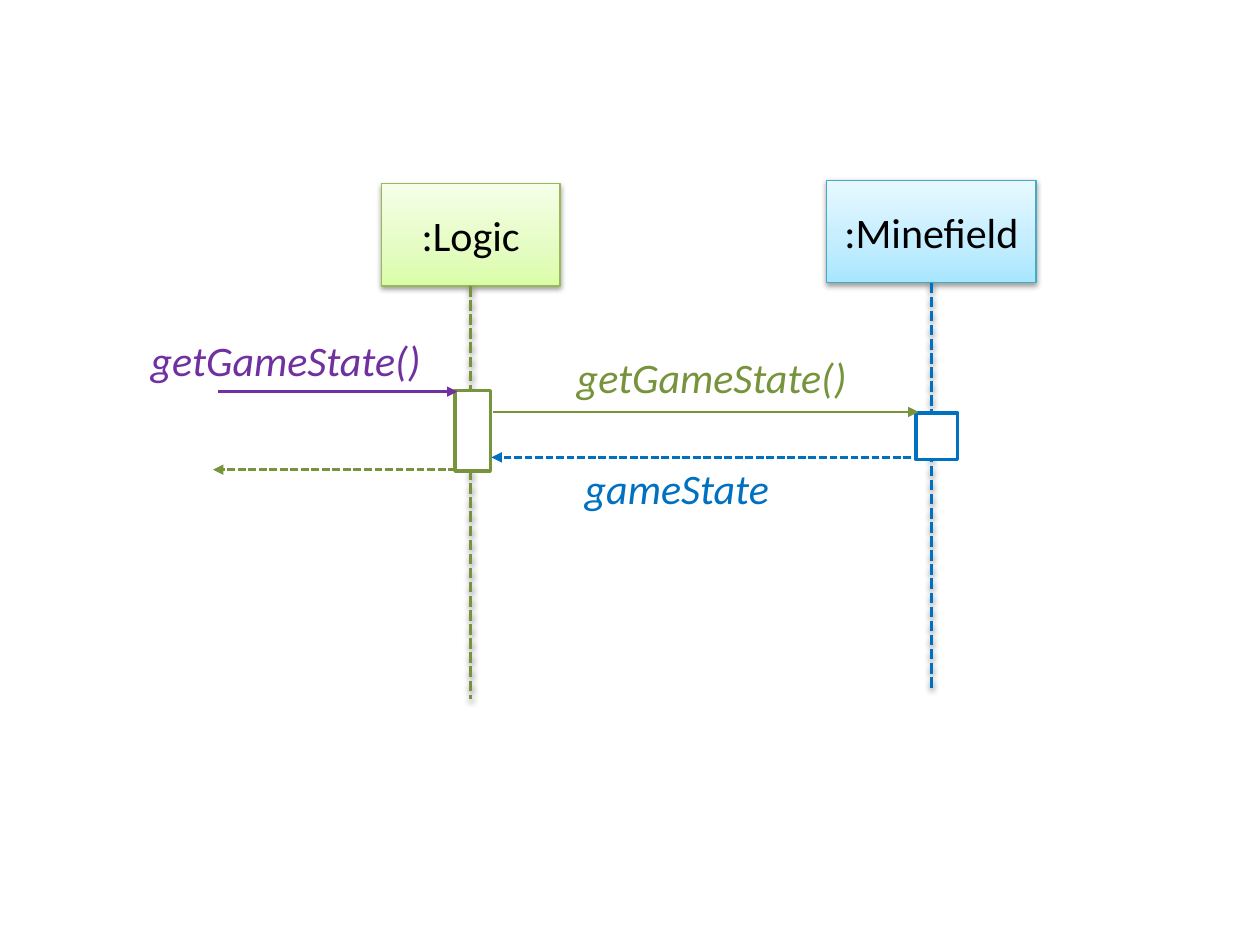
from lxml.etree import SubElement
from pptx import Presentation
from pptx.dml.color import RGBColor
from pptx.enum.dml import MSO_LINE
from pptx.enum.shapes import MSO_CONNECTOR, MSO_SHAPE
from pptx.enum.text import MSO_ANCHOR, PP_ALIGN
from pptx.oxml import parse_xml
from pptx.oxml.ns import nsdecls, qn
from pptx.util import Pt

COLORS = {
    "green": "77933C", "blue": "0070C0", "purple": "7030A0",
    "green border": "98B955", "blue border": "46AAC5",
    "black": "000000", "white": "FFFFFF",
}
GRADIENTS = {
    "green": ("DAFDA7", "E4FCC2", "F5FFE7"),
    "blue": ("A7E6FF", "C1EDFF", "E7F8FF"),
}
GRADIENT_POSITIONS = (0, 35000, 100000)


def rgb(name):
    return RGBColor.from_string(COLORS[name])


def add_shadow(shape):
    shape._element.spPr.append(parse_xml(
        f'<a:effectLst {nsdecls("a")}>'
        '<a:outerShdw blurRad="40000" dist="20000" dir="5400000" rotWithShape="0">'
        '<a:srgbClr val="000000"><a:alpha val="38000"/></a:srgbClr>'
        '</a:outerShdw></a:effectLst>'))


def set_gradient(shape, stops):
    """Fill the shape with three stops running from bottom to top."""
    shape.fill.gradient()
    shape.fill.gradient_angle = 90
    stop_list = shape._element.spPr.find(qn("a:gradFill")).find(qn("a:gsLst"))
    for stop in list(stop_list):
        stop_list.remove(stop)
    for position, color in zip(GRADIENT_POSITIONS, stops):
        stop = SubElement(stop_list, qn("a:gs"), pos=str(position))
        SubElement(stop, qn("a:srgbClr"), val=color)


def write_text(text_frame, text, color, italic=False, alignment=PP_ALIGN.LEFT):
    text_frame.word_wrap = True
    paragraph = text_frame.paragraphs[0]
    paragraph.text = text
    paragraph.alignment = alignment
    font = paragraph.font
    font.name, font.size, font.italic = "Calibri", Pt(24), italic
    font.color.rgb = rgb(color)


def add_rectangle(slide, box, border, width):
    rectangle = slide.shapes.add_shape(MSO_SHAPE.RECTANGLE, *map(Pt, box))
    rectangle.line.color.rgb = rgb(border)
    rectangle.line.width = Pt(width)
    return rectangle


def add_line(slide, start, end, color, width, dashed):
    line = slide.shapes.add_connector(
        MSO_CONNECTOR.STRAIGHT, *map(Pt, (*start, *end)))
    line.line.color.rgb = rgb(color)
    line.line.width = Pt(width)
    if dashed:
        line.line.dash_style = MSO_LINE.SQUARE_DOT
    return line


def add_participant(slide, name, color, box, lifeline_bottom, activation):
    """Draw a header in the box, its lifeline and its activation bar."""
    left, top, width, height = box
    header = add_rectangle(slide, box, f"{color} border", 0.75)
    set_gradient(header, GRADIENTS[color])
    add_shadow(header)
    header.text_frame.vertical_anchor = MSO_ANCHOR.MIDDLE
    write_text(header.text_frame, name, "black", alignment=PP_ALIGN.CENTER)

    center = left + width / 2
    lifeline = add_line(slide, (center, top + height),
                        (center, lifeline_bottom), color, 2, dashed=True)
    lifeline.begin_connect(header, 2)
    add_shadow(lifeline)

    bar = add_rectangle(slide, activation, color, 2)
    bar.fill.solid()
    bar.fill.fore_color.rgb = rgb("white")
    bar.shadow.inherit = False


def add_message(slide, start_x, end_x, y, color, dashed=False):
    arrow = add_line(slide, (start_x, y), (end_x, y), color, 1.5, dashed)
    SubElement(arrow.line._get_or_add_ln(), qn("a:tailEnd"), type="triangle")
    SubElement(arrow._element.spPr, qn("a:effectLst"))


def add_label(slide, text, color, box):
    label = slide.shapes.add_textbox(*map(Pt, box))
    write_text(label.text_frame, text, color, italic=True)


def add_sequence_diagram(slide):
    add_participant(slide, ":Minefield", "blue", (472.5, 103, 119.5, 58.5),
                    394.5, (523.4, 236, 23.8, 26.6))
    add_participant(slide, ":Logic", "green", (218, 105, 102, 58.5),
                    399.5, (260, 223.2, 20.2, 46))

    add_message(slide, 124.6, 261.4, 223.8, "purple")
    add_message(slide, 281.5, 524.9, 235.4, "green")
    add_message(slide, 520.6, 280.8, 261.4, "blue", dashed=True)
    add_message(slide, 260.6, 121.7, 268.4, "green", dashed=True)

    add_label(slide, "getGameState()", "purple", (79, 187.5, 174, 36))
    add_label(slide, "getGameState()", "green", (322.5, 197.5, 185, 36))
    add_label(slide, "gameState", "blue", (327, 260.5, 125, 36))


def main():
    presentation = Presentation()
    presentation.slide_width, presentation.slide_height = Pt(720), Pt(540)
    slide = presentation.slides.add_slide(presentation.slide_layouts[6])
    add_sequence_diagram(slide)
    presentation.save("out.pptx")


if __name__ == "__main__":
    main()
